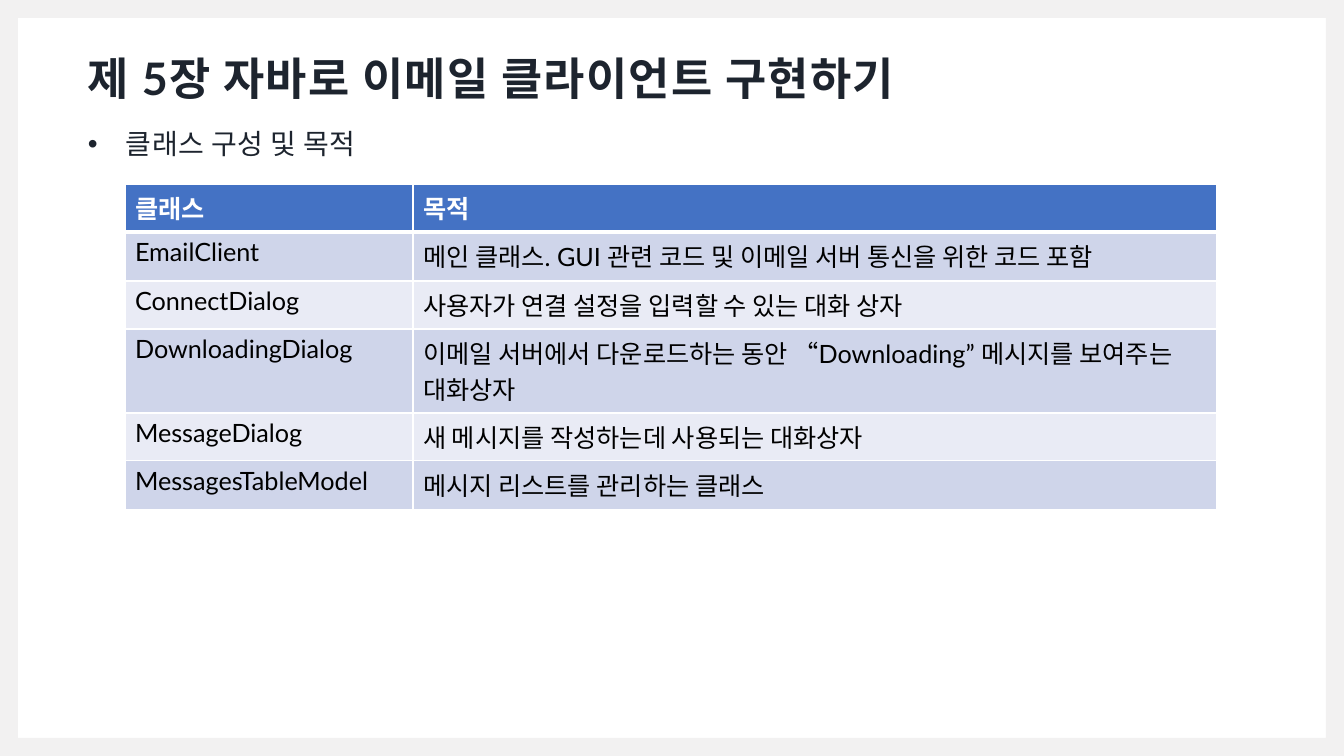
from lxml import etree
from pptx import Presentation
from pptx.dml.color import RGBColor
from pptx.enum.text import MSO_ANCHOR, MSO_AUTO_SIZE, PP_ALIGN
from pptx.oxml.ns import qn
from pptx.util import Pt

BOTTOM, TOP = MSO_ANCHOR.BOTTOM, MSO_ANCHOR.TOP
FIXED = MSO_AUTO_SIZE.NONE
LEFT = PP_ALIGN.LEFT
PX = 914400 / 100.8
WIDE, HIGH = 1344, 756
FONT = "Lato"
COLORS = {
    "page": "FFFFFF", "frame": "F2F1F1", "ink": "1D242E", "head": "4472C4",
    "odd": "CFD5EA", "even": "E9EBF5", "cell": "000000", "rule": "FFFFFF",
}
COLS = [288, 804]
HEIGHTS = [48, 49, 48, 84, 48, 49]
ROWS = [
    ("클래스", "목적"),
    ("EmailClient", "메인 클래스. GUI 관련 코드 및 이메일 서버 통신을 위한 코드 포함"),
    ("ConnectDialog", "사용자가 연결 설정을 입력할 수 있는 대화 상자"),
    ("DownloadingDialog",
     "이메일 서버에서 다운로드하는 동안 “Downloading” 메시지를 보여주는 대화상자"),
    ("MessageDialog", "새 메시지를 작성하는데 사용되는 대화상자"),
    ("MessagesTableModel", "메시지 리스트를 관리하는 클래스"),
]


def px(n):
    return round(n * PX)


def rgb(name):
    return RGBColor.from_string(COLORS[name])


def style(para, size, color, bold=False):
    font = para.font
    font.name, font.size, font.bold = FONT, Pt(size), bold
    font.color.rgb = rgb(color)


def place(shape, box):
    shape.left, shape.top, shape.width, shape.height = map(px, box)


def fill_text(frame, text, anchor, lead, track):
    """Put one line in a frame; track is letter spacing in 1/100 pt."""
    frame.word_wrap, frame.auto_size = True, FIXED
    frame.vertical_anchor = anchor
    frame.margin_left = frame.margin_right = frame.margin_top = px(12)
    frame.margin_bottom = px(10)
    para = frame.paragraphs[0]
    para.alignment, para.line_spacing = LEFT, lead
    para.space_before = Pt(0)
    run = para.add_run()
    run.text = text
    run._r.get_or_add_rPr().set("spc", str(track))
    return para


def add_frame(slide, box, edge):
    """Draw a border band around the box, cut out in the middle."""
    x, y, w, h = box
    right, low = x + w, y + h
    build = slide.shapes.build_freeform(x, y, scale=PX)
    build.add_line_segments([(right, y), (right, low), (x, low)])
    build.move_to(x + edge, y + edge)
    build.add_line_segments([(x + edge, low - edge), (right - edge, low - edge),
                             (right - edge, y + edge)])
    band = build.convert_to_shape()
    band.shadow.inherit = False
    band.fill.solid()
    band.fill.fore_color.rgb = rgb("frame")
    band.line.fill.background()


def add_title(slide, box, text):
    title = slide.shapes.title
    place(title, box)
    para = fill_text(title.text_frame, text, BOTTOM, 1.13, 90)
    style(para, 32, "ink", True)


def add_point(slide, box, text):
    shape = slide.shapes.add_textbox(*map(px, box))
    para = fill_text(shape.text_frame, text, TOP, 1.2, 30)
    props = para._p.get_or_add_pPr()
    props.set("marL", str(px(38)))
    props.set("indent", str(-px(38)))
    etree.SubElement(props, qn("a:buFont"), typeface="Arial")
    etree.SubElement(props, qn("a:buChar"), char="•")
    style(para, 20, "ink")


def add_rules(cell, top, low):
    """Edge a cell in thin rules; top and low are widths in pt."""
    props = cell._tc.get_or_add_tcPr()
    sides = {"lnL": 1, "lnR": 1, "lnT": top, "lnB": low}
    for spot, (side, width) in enumerate(sides.items()):
        line = etree.Element(qn("a:" + side), w=str(Pt(width)))
        paint = etree.SubElement(line, qn("a:solidFill"))
        etree.SubElement(paint, qn("a:srgbClr"), val=COLORS["rule"])
        props.insert(spot, line)


def add_grid(slide, x, y):
    shape = slide.shapes.add_table(len(ROWS), len(COLS), px(x), px(y),
                                   px(sum(COLS)), px(sum(HEIGHTS)))
    table = shape.table
    for col, width in zip(table.columns, COLS):
        col.width = px(width)
    for r, (row, high, texts) in enumerate(zip(table.rows, HEIGHTS, ROWS)):
        row.height = px(high)
        head = r == 0
        fill = "head" if head else "odd" if r % 2 else "even"
        for cell, text in zip(row.cells, texts):
            cell.text = text
            cell.fill.solid()
            cell.fill.fore_color.rgb = rgb(fill)
            style(cell.text_frame.paragraphs[0], 18,
                  "page" if head else "cell", head)
            add_rules(cell, 3 if r == 1 else 1, 3 if head else 1)


def main():
    deck = Presentation()
    deck.slide_width, deck.slide_height = px(WIDE), px(HIGH)
    slide = deck.slides.add_slide(deck.slide_layouts[5])
    back = slide.background.fill
    back.solid()
    back.fore_color.rgb = rgb("page")
    add_frame(slide, (0, 0, WIDE, HIGH), 18)
    add_title(slide, (76, 20, 1117, 94), "제 5장 자바로 이메일 클라이언트 구현하기")
    add_point(slide, (76, 108, 1205, 60), "클래스 구성 및 목적")
    add_grid(slide, 125, 184)
    deck.save("out.pptx")


if __name__ == "__main__":
    main()
